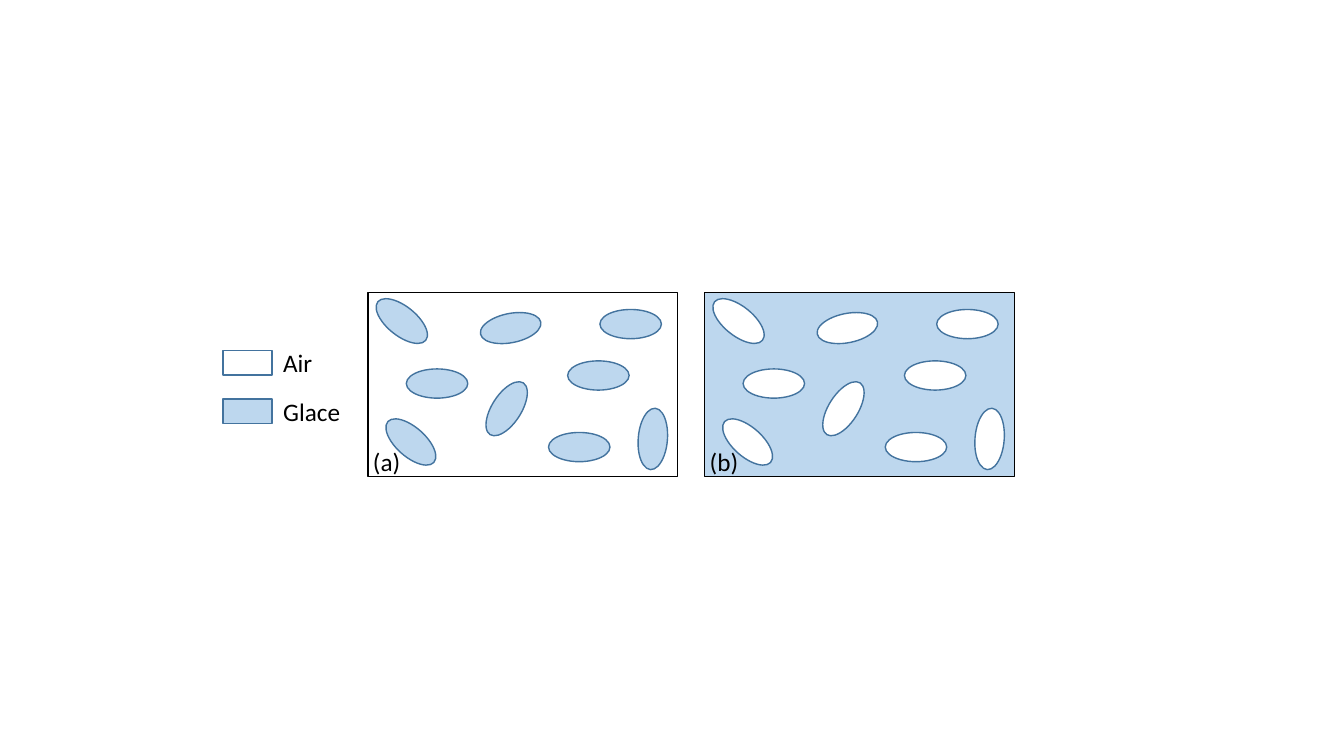
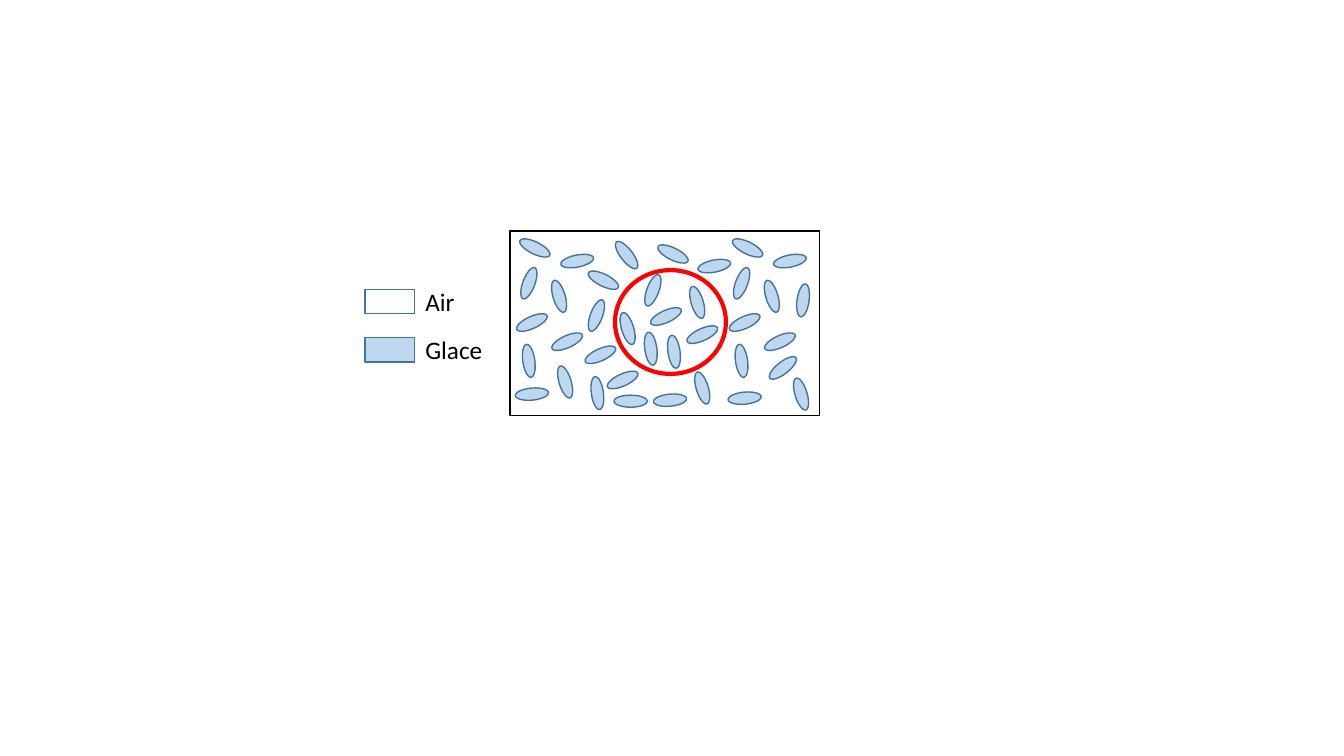
from dataclasses import dataclass

from pptx import Presentation
from pptx.dml.color import RGBColor
from pptx.enum import shapes, text
from pptx.util import Inches, Pt


@dataclass(frozen=True)
class Theme:
    ice: str = "BDD7EE"
    air: str = "FFFFFF"
    edge: str = "43739E"
    ink: str = "000000"
    mark: str = "FF0000"
    font: str = "Calibri"
    size: int = 18
    thin: int = 1
    thick: int = 3


theme = Theme()
RECT = shapes.MSO_SHAPE.RECTANGLE
OVAL = shapes.MSO_SHAPE.OVAL


def draw(slide, kind, box, fill=None, line=theme.edge, width=theme.thin, turn=0):
    shape = slide.shapes.add_shape(kind, *map(Inches, box))
    shape.shadow.inherit = False
    if fill:
        shape.fill.solid()
        shape.fill.fore_color.rgb = RGBColor.from_string(fill)
    else:
        shape.fill.background()
    shape.line.color.rgb = RGBColor.from_string(line)
    shape.line.width = Pt(width)
    shape.rotation = turn


def write(slide, words, box, wrap=True, size=theme.size, color=theme.ink):
    frame = slide.shapes.add_textbox(*map(Inches, box)).text_frame
    frame.word_wrap = wrap
    frame.auto_size = text.MSO_AUTO_SIZE.SHAPE_TO_FIT_TEXT
    run = frame.paragraphs[0].add_run()
    run.text = words
    run.font.name = theme.font
    run.font.size = Pt(size)
    run.font.color.rgb = RGBColor.from_string(color)


deck = Presentation()
deck.slide_width, deck.slide_height = Inches(13.33), Inches(7.5)
pair, dense = [deck.slides.add_slide(deck.slide_layouts[6]) for _ in range(2)]
wide, high = 3.07, 1.83

# Legends
for slide, left, top in [(pair, 2.21, 3.48), (dense, 3.62, 2.87)]:
    for row, (name, fill, span) in enumerate(
        [("Air", theme.air, 0.71), ("Glace", theme.ice, 1.21)]
    ):
        y = top + row * 0.48
        draw(slide, RECT, (left, y, 0.49, 0.24), fill)
        write(slide, name, (left + 0.5, y - 0.08, span, 0.4))

# Slide 1: ice in air, then air in ice; grains are left, top, turn in the panel
grains = [
    (0.38, 0.76, 0), (1.11, 0.21, 348.8), (1.07, 1.01, 122.7),
    (1.98, 0.68, 0), (2.52, 1.31, 94.5), (1.79, 1.39, 0),
    (0.03, 0.14, 218.8), (0.12, 1.34, 41.6), (2.3, 0.17, 0),
]
top = 2.9
for name, left, back, fill in [
    ("(a)", 3.65, None, theme.ice),
    ("(b)", 6.99, theme.ice, theme.air),
]:
    draw(pair, RECT, (left, top, wide, high), back, theme.ink)
    for x, y, turn in grains:
        draw(pair, OVAL, (left + x, top + y, 0.61, 0.29), fill, turn=turn)
    write(pair, name, (left - 0.05, 4.38, 0.48, 0.4), wrap=False)

# Slide 2: panel full of small grains
draw(dense, RECT, (5.06, 2.29, wide, high), line=theme.ink)

# Group that appears on both sides of the panel
group = [
    (5.56, 2.53, 348.8), (5.14, 2.4, 26.2), (5.38, 2.88, 73.1),
    (5.08, 2.75, 110.5), (5.11, 3.14, 155.7), (5.46, 3.33, 155.7),
    (5.08, 3.52, 82),
]
sides = [(x + shift, y, turn) for shift in (0, 2.11) for x, y, turn in group]

# Remaining grains, by turn
places = {
    0: [(6.09, 3.92)],
    26.2: [(6.51, 2.46), (5.82, 2.72)],
    73.1: [(5.44, 3.73), (7.78, 3.85), (6.75, 2.94), (6.8, 3.79), (6.06, 3.2)],
    82: [(6.52, 3.43), (5.76, 3.84), (6.29, 3.4)],
    98.1: [(7.8, 2.92)],
    110.5: [(6.31, 2.82), (5.75, 3.07)],
    155.7: [(6.44, 3.08), (6.8, 3.26), (5.79, 3.46), (6.01, 3.71)],
    174.7: [(5.11, 3.85), (7.22, 3.89), (6.48, 3.91)],
    232.3: [(6.05, 2.47)],
    321.7: [(7.6, 3.59)],
    348.8: [(6.92, 2.58)],
}
rest = [(x, y, turn) for turn, spots in places.items() for x, y in spots]
for x, y, turn in sides + rest:
    draw(dense, OVAL, (x, y, 0.33, 0.12), theme.ice, turn=turn)

# Circled zone
draw(dense, OVAL, (6.1, 2.68, 1.1, 1.03), line=theme.mark, width=theme.thick)

deck.save("out.pptx")
